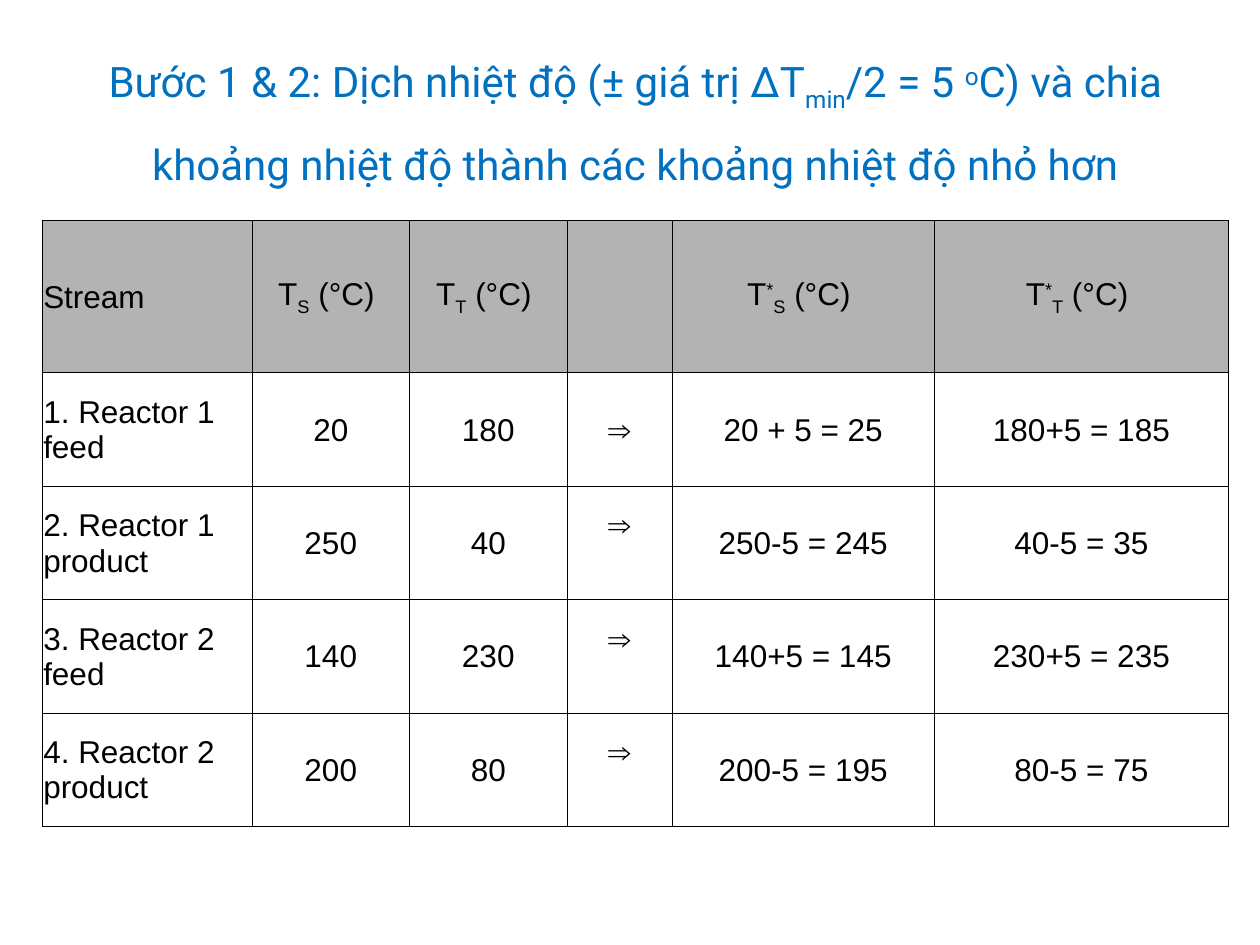
from lxml import etree
from pptx import Presentation
from pptx.dml.color import RGBColor
from pptx.enum.text import MSO_ANCHOR, MSO_AUTO_SIZE, PP_ALIGN
from pptx.oxml.ns import qn
from pptx.util import Pt

BLACK = RGBColor(0x00, 0x00, 0x00)
BLUE = RGBColor(0x00, 0x70, 0xC0)
GREY = RGBColor(0xB3, 0xB3, 0xB3)
LEFT, CENTER = PP_ALIGN.LEFT, PP_ALIGN.CENTER
TOP, MIDDLE = MSO_ANCHOR.TOP, MSO_ANCHOR.MIDDLE
GROW = MSO_AUTO_SIZE.SHAPE_TO_FIT_TEXT
SUB, SUP = -25, 30
ARROW = "⇒"

TITLE = [("Bước 1 & 2: Dịch nhiệt độ (± giá trị ΔT", 0), ("min", SUB),
         ("/2 = 5 ", 0), ("o", SUP),
         ("C) và chia khoảng nhiệt độ thành các khoảng nhiệt độ nhỏ hơn", 0)]


def temperature(index, shifted=False):
    """Runs of a column heading such as T*S (°C)."""
    star = [("*", SUP)] if shifted else []
    return [("T", 0), *star, (index, SUB), (" (°C) ", 0)]


STREAMS = [
    ["Stream", temperature("S"), temperature("T"), "",
     temperature("S", True), temperature("T", True)],
    ["1. Reactor 1 feed", "20", "180", ARROW, "20 + 5 = 25", "180+5 = 185"],
    ["2. Reactor 1 product", "250", "40", ARROW, "250-5 = 245", "40-5 = 35"],
    ["3. Reactor 2 feed", "140", "230", ARROW, "140+5 = 145", "230+5 = 235"],
    ["4. Reactor 2 product", "200", "80", ARROW, "200-5 = 195", "80-5 = 75"],
]
COLUMN_WIDTHS = [120, 90, 90, 60, 150, 168]
ROW_HEIGHTS = [87] + [64.8] * 4


def set_all(target, values):
    for name, value in values.items():
        setattr(target, name, value)


class SlideBuilder:
    title_font = {"name": "Roboto", "size": Pt(24), "bold": False}
    table_font = {"name": "Arial", "size": Pt(18), "bold": False}
    cell_format = {"vertical_anchor": MIDDLE, "margin_left": Pt(0.72),
                   "margin_right": Pt(0.72), "margin_top": Pt(0.72),
                   "margin_bottom": Pt(0)}

    def __init__(self, s):
        self.s = s

    def runs(self, p, content, font, color):
        """Add a plain string, or (text, baseline percent) pairs."""
        pairs = [(content, 0)] if isinstance(content, str) else content
        for text, baseline in pairs:
            r = p.add_run()
            r.text = text
            set_all(r.font, font)
            r.font.color.rgb = color
            if baseline:
                r.font._element.set("baseline", str(baseline * 1000))

    def title(self, content, left, top, width, height):
        sp = self.s.shapes.title
        set_all(sp, {"left": Pt(left), "top": Pt(top),
                     "width": Pt(width), "height": Pt(height)})
        tf = sp.text_frame
        set_all(tf, {"word_wrap": True, "auto_size": GROW,
                     "vertical_anchor": TOP})
        p = tf.paragraphs[0]
        set_all(p, {"alignment": CENTER, "line_spacing": 1.5})
        self.runs(p, content, self.title_font, BLUE)

    def borders(self, cell):
        tcPr = cell._tc.get_or_add_tcPr()
        for side in ("a:lnL", "a:lnR", "a:lnT", "a:lnB"):
            ln = etree.SubElement(tcPr, qn(side), w=str(Pt(0.5)))
            fill = etree.SubElement(ln, qn("a:solidFill"))
            etree.SubElement(fill, qn("a:srgbClr"), val=str(BLACK))

    def table(self, rows, widths, heights, left, top):
        table = self.s.shapes.add_table(
            len(rows), len(widths), Pt(left), Pt(top),
            Pt(sum(widths)), Pt(sum(heights))).table
        set_all(table, {"first_row": False, "horz_banding": False})
        for column, width in zip(table.columns, widths):
            column.width = Pt(width)
        for i, (row, height) in enumerate(zip(rows, heights)):
            table.rows[i].height = Pt(height)
            for j, content in enumerate(row):
                self.cell(table.cell(i, j), content, i == 0,
                          CENTER if j else LEFT)
                if content == ARROW and i > 1:  # these arrows sit higher
                    table.cell(i, j).margin_bottom = Pt(20)

    def cell(self, cell, content, header, alignment):
        set_all(cell, self.cell_format)
        self.borders(cell)
        if header:
            cell.fill.solid()
            cell.fill.fore_color.rgb = GREY
        else:
            cell.fill.background()
        p = cell.text_frame.paragraphs[0]
        p.alignment = alignment
        if content:
            self.runs(p, content, self.table_font, BLACK)


def main():
    prs = Presentation()
    set_all(prs, {"slide_width": Pt(720), "slide_height": Pt(540)})
    builder = SlideBuilder(prs.slides.add_slide(prs.slide_layouts[5]))
    builder.title(TITLE, 24, 12, 678, 88.5)
    builder.table(STREAMS, COLUMN_WIDTHS, ROW_HEIGHTS, 24, 126)
    prs.save("out.pptx")


if __name__ == "__main__":
    main()
